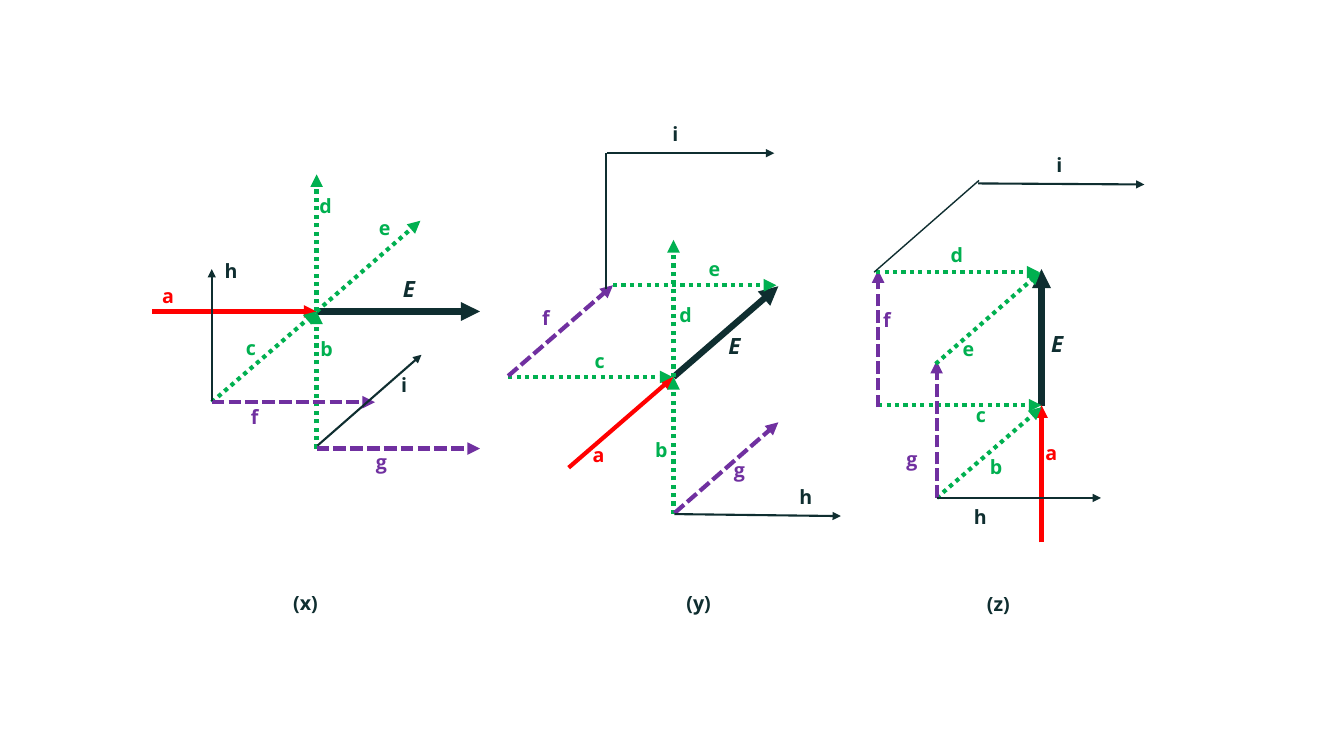
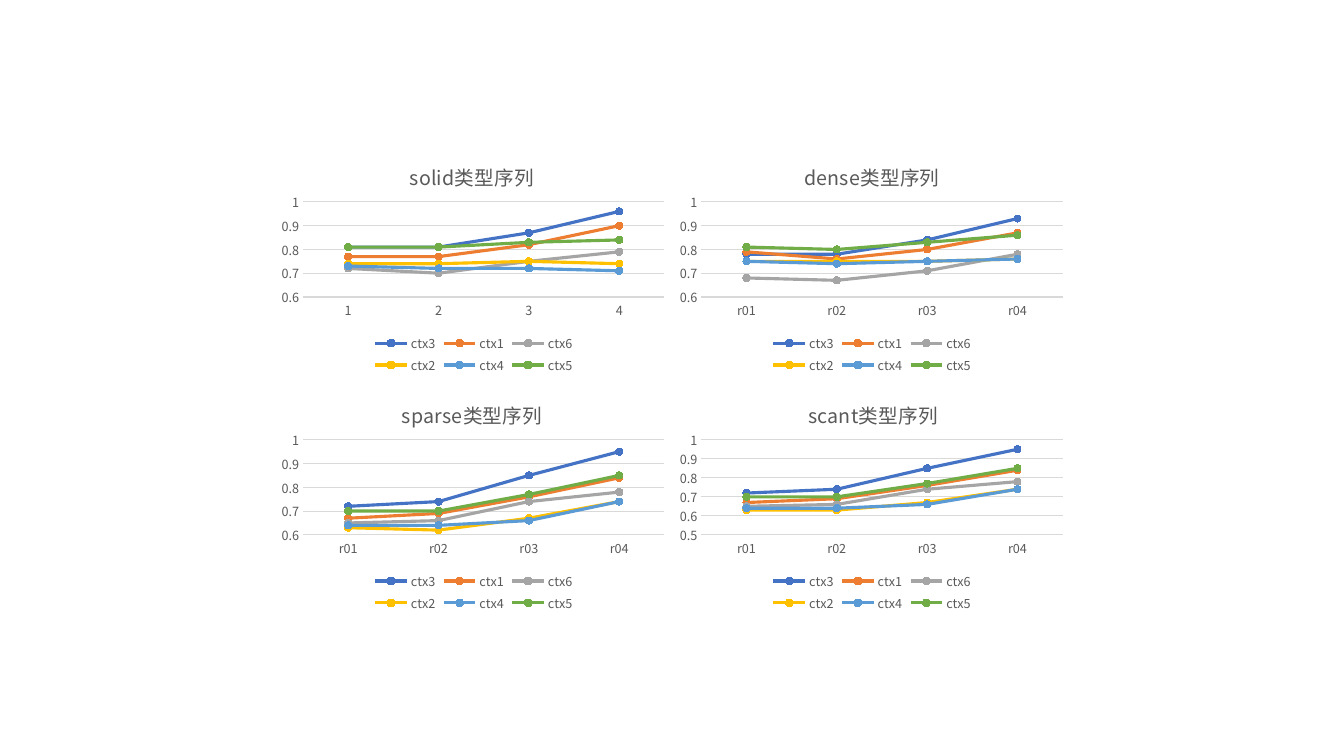
from lxml import etree
from pptx import Presentation
from pptx.chart.data import CategoryChartData
from pptx.dml.color import RGBColor
from pptx.enum.chart import XL_CHART_TYPE, XL_LEGEND_POSITION, XL_MARKER_STYLE, XL_TICK_MARK
from pptx.enum.dml import MSO_LINE
from pptx.enum.shapes import MSO_CONNECTOR
from pptx.enum.text import MSO_AUTO_SIZE, PP_ALIGN
from pptx.oxml import parse_xml
from pptx.oxml.ns import nsdecls, qn
from pptx.util import Inches, Pt

STRAIGHT = MSO_CONNECTOR.STRAIGHT
DOTTED = MSO_LINE.ROUND_DOT
DASHED = MSO_LINE.SQUARE_DOT
FIT_SHAPE = MSO_AUTO_SIZE.SHAPE_TO_FIT_TEXT
CENTER = PP_ALIGN.CENTER
LINE_MARKERS = XL_CHART_TYPE.LINE_MARKERS
LEGEND_BOTTOM = XL_LEGEND_POSITION.BOTTOM
CIRCLE = XL_MARKER_STYLE.CIRCLE
NO_TICK = XL_TICK_MARK.NONE

DARK, RED, GREEN, PURPLE = "0F2E30", "FF0000", "00B050", "7030A0"
CHART_TEXT, GRID = "595959", "D9D9D9"
LABEL_FONT, CHART_FONT = "Open Sans", "Noto Sans CJK SC"


def color(hex_string):
    return RGBColor.from_string(hex_string)


def format_text(font, size, hex_color, name, bold=False, italic=False):
    font.size = Pt(size)
    font.color.rgb = color(hex_color)
    font.name = name
    font.bold = bold
    font.italic = italic


presentation = Presentation()
presentation.slide_width = Inches(13.33)
presentation.slide_height = Inches(7.5)
blank_layout = presentation.slide_layouts[6]

# Vector styles: colour, line width, dash
plain_axis = (DARK, 1.5, None)
dotted_green = (GREEN, 3, DOTTED)
dashed_purple = (PURPLE, 3, DASHED)
vector_styles = {
    "E": (DARK, 4.5, None),
    "a": (RED, 3, None),
    "b": dotted_green,
    "c": dotted_green,
    "d": dotted_green,
    "e": dotted_green,
    "f": dashed_purple,
    "g": dashed_purple,
    "h": plain_axis,
    "i": plain_axis,
    "leader": (DARK, 1, None),
}

# Vector rows: name, start, end, label left, label top, label width
diagrams = [
    ("(y)", 6.71, 5.81, [
        ("E", (6.68, 3.74), (7.72, 2.84), 6.92, 3.25, 0.73),
        ("a", (5.64, 4.64), (6.68, 3.74), 5.78, 4.34, 0.3),
        ("b", (6.68, 5.1), (6.68, 3.74), 6.4, 4.3, 0.3),
        ("d", (6.68, 3.74), (6.68, 2.38), 6.64, 2.96, 0.3),
        ("c", (5.04, 3.74), (6.67, 3.74), 5.8, 3.41, 0.3),
        ("f", (5.04, 3.73), (6.08, 2.83), 5.28, 2.99, 0.5),
        ("g", (6.69, 5.09), (7.72, 4.19), 7.18, 4.49, 0.46),
        ("e", (6.08, 2.83), (7.7, 2.83), 6.93, 2.5, 0.3),
        ("i", (6.02, 1.52), (7.68, 1.52), 6.57, 1.16, 0.48),
        ("h", (6.69, 5.1), (8.34, 5.12), 7.83, 4.76, 0.54),
        ("leader", (6.01, 2.87), (6.01, 1.52), None, None, None),
    ]),
    ("(z)", 9.69, 5.82, [
        ("E", (10.33, 4.03), (10.33, 2.67), 10.12, 3.23, 0.73),
        ("a", (10.33, 5.38), (10.33, 4.02), 10.27, 4.33, 0.3),
        ("c", (8.71, 4.02), (10.33, 4.02), 9.58, 3.95, 0.3),
        ("b", (9.29, 4.94), (10.33, 4.04), 9.72, 4.46, 0.3),
        ("f", (8.71, 4.04), (8.71, 2.68), 8.66, 3.01, 0.47),
        ("g", (9.29, 4.94), (9.29, 3.58), 8.89, 4.38, 0.48),
        ("d", (8.69, 2.7), (10.31, 2.7), 9.33, 2.36, 0.48),
        ("e", (9.28, 3.61), (10.32, 2.7), 9.45, 3.29, 0.52),
        ("i", (9.7, 1.82), (11.35, 1.83), 10.38, 1.47, 0.47),
        ("h", (9.29, 4.94), (10.92, 4.94), 9.56, 4.96, 0.54),
        ("leader", (8.67, 2.7), (9.71, 1.79), None, None, None),
    ]),
    ("(x)", 2.81, 5.81, [
        ("E", (3.14, 3.09), (4.76, 3.09), 3.69, 2.68, 0.73),
        ("a", (1.51, 3.09), (3.14, 3.09), 1.51, 2.77, 0.3),
        ("e", (3.14, 3.09), (4.17, 2.19), 3.66, 2.09, 0.3),
        ("c", (2.1, 3.99), (3.14, 3.09), 2.34, 3.28, 0.3),
        ("d", (3.14, 3.09), (3.14, 1.73), 3.07, 1.87, 0.3),
        ("b", (3.14, 4.45), (3.14, 3.09), 3.08, 3.29, 0.3),
        ("f", (2.1, 3.99), (3.72, 3.99), 2.39, 3.97, 0.48),
        ("g", (3.14, 4.45), (4.76, 4.45), 3.63, 4.41, 0.47),
        ("h", (2.1, 3.98), (2.1, 2.67), 2.13, 2.52, 0.3),
        ("i", (3.15, 4.42), (4.18, 3.52), 3.88, 3.65, 0.3),
    ]),
]

vector_slide = presentation.slides.add_slide(blank_layout)
for caption, caption_left, caption_top, vectors in diagrams:
    group = vector_slide.shapes.add_group_shape()
    labels = [(caption, caption_left, caption_top, 0.56)]
    for name, start, end, label_left, label_top, label_width in vectors:
        hex_color, width, dash = vector_styles[name]
        points = [Inches(value) for value in start + end]
        connector = group.shapes.add_connector(STRAIGHT, *points)
        connector.line.color.rgb = color(hex_color)
        connector.line.width = Pt(width)
        if dash:
            connector.line.dash_style = dash
        if name != "leader":
            line_element = connector.line._get_or_add_ln()
            etree.SubElement(line_element, qn("a:tailEnd"), type="triangle")
            labels.append((name, label_left, label_top, label_width))
        etree.SubElement(connector._element.spPr, qn("a:effectLst"))

    for text, left, top, width in labels:
        is_field = text == "E"
        text_box = group.shapes.add_textbox(
            Inches(left), Inches(top), Inches(width), Inches(0.37 if is_field else 0.34))
        text_frame = text_box.text_frame
        text_frame.word_wrap = True
        text_frame.auto_size = FIT_SHAPE
        paragraph = text_frame.paragraphs[0]
        if is_field:
            paragraph.alignment = CENTER
        run = paragraph.add_run()
        run.text = text
        label_color = DARK if text == caption else vector_styles[text][0]
        format_text(run.font, 16 if is_field else 14, label_color, LABEL_FONT,
                    bold=True, italic=is_field)

series_colors = {
    "ctx3": "4472C4",
    "ctx1": "ED7D31",
    "ctx6": "A5A5A5",
    "ctx2": "FFC000",
    "ctx4": "5B9BD5",
    "ctx5": "70AD47",
}
rate_names = ["r01", "r02", "r03", "r04"]

# Chart rows: title, title left share, axis minimum, categories, values by series
charts = [
    ("solid类型序列", 0.33, 0.6, ["1", "2", "3", "4"], [
        (0.81, 0.81, 0.87, 0.96), (0.77, 0.77, 0.82, 0.9), (0.72, 0.7, 0.75, 0.79),
        (0.74, 0.74, 0.75, 0.74), (0.73, 0.72, 0.72, 0.71), (0.81, 0.81, 0.83, 0.84)]),
    ("dense类型序列", 0.32, 0.6, rate_names, [
        (0.78, 0.78, 0.84, 0.93), (0.79, 0.76, 0.8, 0.87), (0.68, 0.67, 0.71, 0.78),
        (0.75, 0.75, 0.75, 0.76), (0.75, 0.74, 0.75, 0.76), (0.81, 0.8, 0.83, 0.86)]),
    ("sparse类型序列", 0.31, 0.6, rate_names, [
        (0.72, 0.74, 0.85, 0.95), (0.67, 0.69, 0.76, 0.84), (0.65, 0.66, 0.74, 0.78),
        (0.63, 0.62, 0.67, 0.74), (0.64, 0.64, 0.66, 0.74), (0.7, 0.7, 0.77, 0.85)]),
    ("scant类型序列", 0.33, 0.5, rate_names, [
        (0.72, 0.74, 0.85, 0.95), (0.67, 0.69, 0.76, 0.84), (0.65, 0.66, 0.74, 0.78),
        (0.63, 0.63, 0.67, 0.74), (0.64, 0.64, 0.66, 0.74), (0.7, 0.7, 0.77, 0.85)]),
]
chart_width, chart_height = 3.94, 2.36

chart_slide = presentation.slides.add_slide(blank_layout)
for index, (title, title_left, minimum, categories, rows) in enumerate(charts):
    row, column = divmod(index, 2)
    chart_data = CategoryChartData()
    chart_data.categories = categories
    for name, values in zip(series_colors, rows):
        chart_data.add_series(name, values)
    chart = chart_slide.shapes.add_chart(
        LINE_MARKERS,
        Inches(2.73 + column * 3.95), Inches(1.39 + row * chart_height),
        Inches(chart_width), Inches(chart_height), chart_data).chart
    format_text(chart.font, 10, "000000", CHART_FONT)

    chart.has_title = True
    chart.chart_title.include_in_layout = False
    title_run = chart.chart_title.text_frame.paragraphs[0].add_run()
    title_run.text = title
    format_text(title_run.font, 14, CHART_TEXT, CHART_FONT)

    chart.has_legend = True
    chart.legend.position = LEGEND_BOTTOM
    chart.legend.include_in_layout = False
    format_text(chart.legend.font, 9, CHART_TEXT, CHART_FONT)

    for axis in (chart.category_axis, chart.value_axis):
        axis.major_tick_mark = NO_TICK
        axis.minor_tick_mark = NO_TICK
        format_text(axis.tick_labels.font, 9, CHART_TEXT, CHART_FONT)
    value_axis = chart.value_axis
    value_axis.minimum_scale = minimum
    value_axis.maximum_scale = 1
    value_axis.major_unit = 0.1
    value_axis.format.line.fill.background()
    for line in (chart.category_axis.format.line, value_axis.major_gridlines.format.line):
        line.color.rgb = color(GRID)
        line.width = Pt(0.75)

    for series in chart.plots[0].series:
        series_color = color(series_colors[series.name])
        series.smooth = False
        series.format.line.color.rgb = series_color
        series.format.line.width = Pt(2.25)
        series.marker.style = CIRCLE
        series.marker.size = 5
        series.marker.format.fill.solid()
        series.marker.format.fill.fore_color.rgb = series_color
        series.marker.format.line.color.rgb = series_color

    title_element = chart.chart_title._element
    plot_area = chart._chartSpace.chart.plotArea
    placements = [
        (title_element, 1, {"xMode": "edge", "yMode": "edge", "x": title_left, "y": 0.07}),
        (plot_area, 0, {"layoutTarget": "inner", "xMode": "edge", "yMode": "edge",
                        "x": 0.07, "y": 0.26, "w": 0.91, "h": 0.4}),
    ]
    for element, position, settings in placements:
        for old_layout in element.findall(qn("c:layout")):
            element.remove(old_layout)
        layout = parse_xml(f"<c:layout {nsdecls('c')}><c:manualLayout/></c:layout>")
        for tag, value in settings.items():
            etree.SubElement(layout[0], qn(f"c:{tag}"), val=str(value))
        element.insert(position, layout)

presentation.save("out.pptx")
